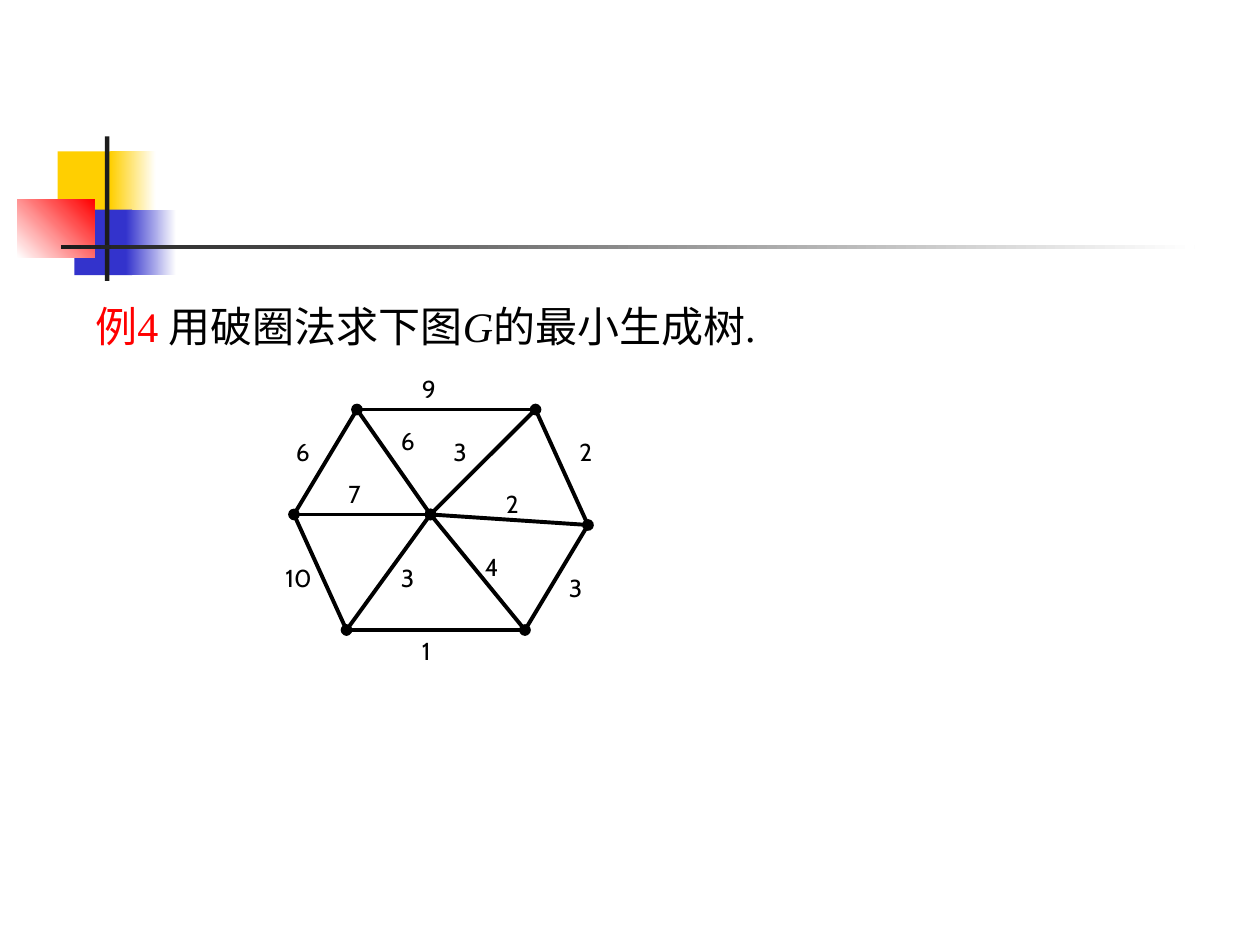
from typing import NamedTuple, Optional

import lxml.etree
import pptx
import pptx.dml.color
import pptx.enum.shapes
import pptx.enum.text
import pptx.oxml.ns
import pptx.util

Pt = pptx.util.Pt
qn = pptx.oxml.ns.qn


class Band(NamedTuple):
    left: float
    top: float
    width: float
    height: float
    start: str
    end: Optional[str] = None
    angle: float = 0


class Edge(NamedTuple):
    start: str
    end: str
    weight: int
    label_left: float
    label_top: float
    dotted: bool = False


class TextPart(NamedTuple):
    text: str
    color: str = "000000"
    italic: bool = False


BANDS = [
    Band(33, 86.5, 34.5, 37.5, "FFCF01"),
    Band(63, 86.5, 26, 37.5, "FFCF01", "FFFFFF"),
    Band(42.5, 119.75, 33, 37.5, "3333CC"),
    Band(72, 119.75, 28.75, 37.5, "3333CC", "FFFFFF"),
    Band(10, 113.75, 44, 33.5, "FFFFFF", "FF0000", 45),
    Band(60, 78, 2.5, 82.5, "1C1C1C"),
    Band(34.75, 140, 648, 2.5, "1C1C1C", "FFFFFF"),
]
NODES = {
    "top left": (204, 234),
    "top right": (306, 234),
    "left": (168, 294),
    "center": (246, 294),
    "right": (336, 300),
    "bottom left": (198, 360),
    "bottom right": (300, 360),
}
EDGES = [
    Edge("top left", "top right", 9, 234, 210, True),
    Edge("top left", "left", 6, 162, 246),
    Edge("top right", "right", 2, 324, 246),
    Edge("left", "bottom left", 10, 156, 318),
    Edge("bottom left", "bottom right", 1, 234, 360, True),
    Edge("right", "bottom right", 3, 318, 324),
    Edge("top left", "center", 6, 222, 240),
    Edge("left", "center", 7, 192, 270, True),
    Edge("center", "bottom left", 3, 222, 318),
    Edge("center", "bottom right", 4, 270, 312),
    Edge("center", "right", 2, 282, 276, True),
    Edge("top right", "center", 3, 252, 246),
]
QUESTION = [
    TextPart(" 例4 ", "FF0000"),
    TextPart("用破圈法求下图"),
    TextPart("G", italic=True),
    TextPart("的最小生成树."),
]


def rgb(color: str) -> pptx.dml.color.RGBColor:
    return pptx.dml.color.RGBColor.from_string(color)


def set_values(target, values: dict) -> None:
    for name, value in values.items():
        setattr(target, name, value)


def add_band(slide, band: Band) -> None:
    shape = slide.shapes.add_shape(
        pptx.enum.shapes.MSO_SHAPE.RECTANGLE,
        Pt(band.left), Pt(band.top), Pt(band.width), Pt(band.height),
    )
    shape.shadow.inherit = False
    shape.line.fill.background()
    if band.end is None:
        shape.fill.solid()
        shape.fill.fore_color.rgb = rgb(band.start)
    else:
        shape.fill.gradient()
        shape.fill.gradient_angle = band.angle
        for stop, color in zip(shape.fill.gradient_stops, (band.start, band.end)):
            stop.color.rgb = rgb(color)


def add_text(slide, left: float, top: float, width: float, height: float,
             parts: list[TextPart], font_name: str, size: float) -> None:
    shape = slide.shapes.add_textbox(Pt(left), Pt(top), Pt(width), Pt(height))
    set_values(shape.text_frame, {
        "word_wrap": True,
        "auto_size": pptx.enum.text.MSO_AUTO_SIZE.SHAPE_TO_FIT_TEXT,
    })
    paragraph = shape.text_frame.paragraphs[0]
    for part in parts:
        run = paragraph.add_run()
        run.text = part.text
        set_values(run.font, {"name": font_name, "size": Pt(size), "italic": part.italic})
        run.font.color.rgb = rgb(part.color)


def add_edge(slide, edge: Edge) -> None:
    ends = [Pt(value) for value in NODES[edge.start] + NODES[edge.end]]
    connector = slide.shapes.add_connector(
        pptx.enum.shapes.MSO_CONNECTOR.STRAIGHT, *ends
    )
    connector.line.width = Pt(2.24)
    connector.line.color.rgb = rgb("000000")
    properties = connector.element.spPr
    if edge.dotted:
        for tag in ("a:headEnd", "a:tailEnd"):
            lxml.etree.SubElement(properties.find(qn("a:ln")), qn(tag), type="oval")
    lxml.etree.SubElement(properties, qn("a:effectLst"))


def main() -> None:
    presentation = pptx.Presentation()
    set_values(presentation, {"slide_width": Pt(720), "slide_height": Pt(540)})
    slide = presentation.slides.add_slide(
        presentation.slide_layouts.get_by_name("Blank")
    )
    for band in BANDS:
        add_band(slide, band)
    for edge in EDGES:
        add_edge(slide, edge)
    for edge in EDGES:
        add_text(slide, edge.label_left, edge.label_top, 31, 24.5,
                 [TextPart(str(edge.weight))], "Cabin", 14)
    add_text(slide, 42, 168, 594, 36, QUESTION, "Times New Roman", 24)
    presentation.save("out.pptx")


main()
